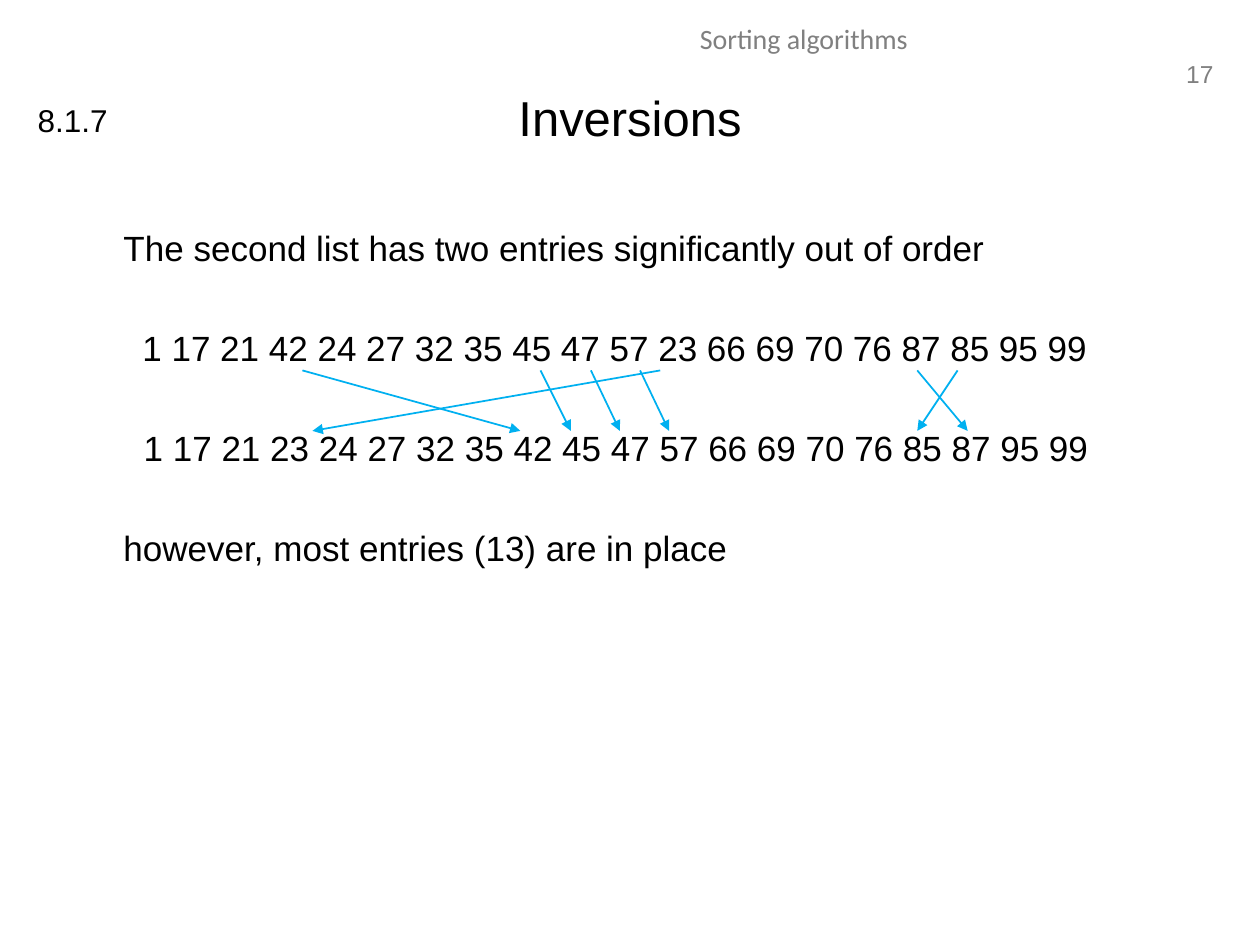
from lxml import etree
from pptx import Presentation
from pptx import util as u
from pptx.dml.color import RGBColor
from pptx.enum import shapes, text
from pptx.oxml.ns import qn

BLACK = RGBColor(0x00, 0x00, 0x00)
GRAY = RGBColor(0x80, 0x80, 0x80)
CYAN = RGBColor(0x00, 0xB0, 0xF0)

# Left indent in px and wording of each body line
BODY_LINES = [
    (38, "The second list has two entries significantly out of order"),
    (53, "1 17 21 42 24 27 32 35 45 47 57 23 66 69 70 76 87 85 95 99"),
    (54, "1 17 21 23 24 27 32 35 42 45 47 57 66 69 70 76 85 87 95 99"),
    (38, "however, most entries (13) are in place"),
]

# Horizontal start and end of each move, in px from the left of the body
MOVES = [(419, 442), (190, 363), (474, 198), (710, 678),
         (678, 718), (458, 481), (379, 403)]


def px(count):
    """Convert px, 100 to the inch, into EMU."""
    return u.Emu(count * 9144)


def place(shape, box):
    shape.left, shape.top, shape.width, shape.height = map(px, box)


def add_run(paragraph, wording, size, color=BLACK, font="Arial"):
    run = paragraph.add_run()
    run.text = wording
    run.font.name = font
    run.font.size = u.Pt(size)
    run.font.color.rgb = color


def add_label(slide, box, wording, size, color, align, font="Arial"):
    label = slide.shapes.add_textbox(*map(px, box))
    label.text_frame.word_wrap = False
    paragraph = label.text_frame.paragraphs[0]
    paragraph.alignment = align
    add_run(paragraph, wording, size, color, font)


def add_header(slide):
    align = text.PP_ALIGN
    add_label(slide, (929, 42, 44, 33), "17", 14, GRAY, align.RIGHT)
    add_label(slide, (319, 12, 638, 40), "Sorting algorithms", 16, GRAY,
              align.CENTER, "Calibri")
    add_label(slide, (20, 75, 76, 40), "8.1.7", 18, BLACK, align.LEFT)


def fill_title(title, box):
    place(title, box)
    frame = title.text_frame
    frame.auto_size = text.MSO_AUTO_SIZE.NONE
    frame.vertical_anchor = text.MSO_ANCHOR.MIDDLE
    paragraph = frame.paragraphs[0]
    paragraph.alignment = text.PP_ALIGN.CENTER
    add_run(paragraph, "Inversions", 28)


def fill_body(body, box):
    place(body, box)
    frame = body.text_frame
    frame.auto_size = text.MSO_AUTO_SIZE.NONE
    for index, (indent, wording) in enumerate(BODY_LINES):
        paragraph = frame.add_paragraph() if index else frame.paragraphs[0]
        properties = paragraph._p.get_or_add_pPr()
        properties.set("marL", str(px(indent)))
        properties.set("indent", "0")
        etree.SubElement(properties, qn("a:buNone"))
        paragraph.space_before = u.Pt(33 if index else 0)
        add_run(paragraph, wording, 20)


def add_moves(slide, box):
    """Draw arrows from the unsorted row to the sorted row."""
    left, top, _, height = box
    for start, end in MOVES:
        arrow = slide.shapes.add_connector(
            shapes.MSO_CONNECTOR.STRAIGHT, px(left + start), px(top),
            px(left + end), px(top + height))
        arrow.line.color.rgb = CYAN
        arrow.line.width = u.Pt(1)
        etree.SubElement(arrow.line._get_or_add_ln(), qn("a:tailEnd"),
                         type="triangle")
        etree.SubElement(arrow._element.spPr, qn("a:effectLst"))


def main():
    presentation = Presentation()
    presentation.slide_width, presentation.slide_height = px(1000), px(750)
    slide = presentation.slides.add_slide(presentation.slide_layouts[1])
    add_header(slide)
    fill_title(slide.shapes.title, (50, 30, 900, 125))
    fill_body(slide.placeholders[1], (50, 175, 900, 495))
    add_moves(slide, (50, 294, 900, 48))
    presentation.save("out.pptx")


if __name__ == "__main__":
    main()
